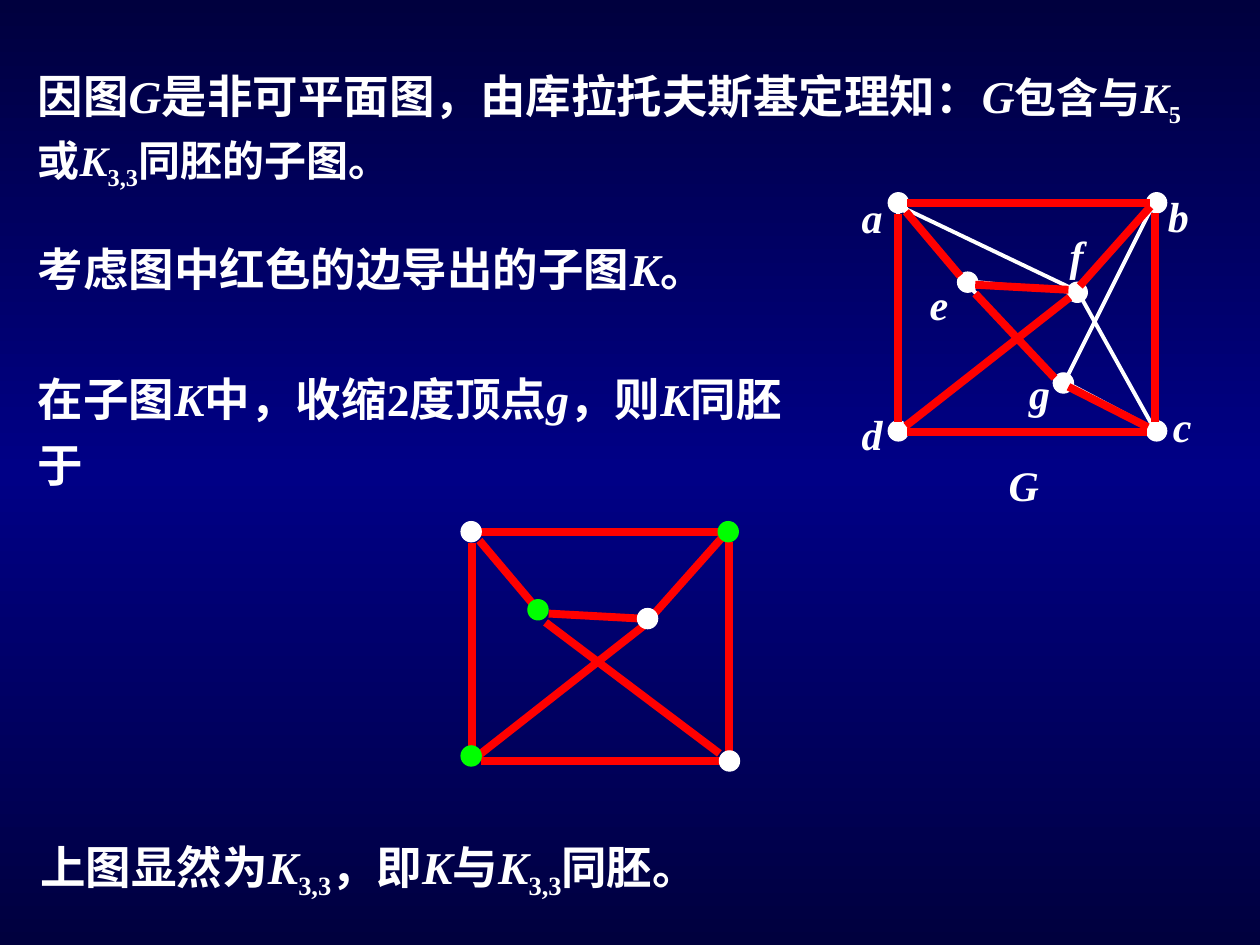
import copy
import pptx
import pptx.util
import pptx.oxml
import pptx.dml.color
import pptx.enum.shapes
import pptx.enum.text
from pptx.util import Inches

RGB = pptx.dml.color.RGBColor
WHITE = RGB(0xFF, 0xFF, 0xFF)
RED = RGB(0xFF, 0x00, 0x00)
GREEN = RGB(0x00, 0xFF, 0x00)
NAVY = RGB(0x00, 0x00, 0x3E)
BLUE = RGB(0x00, 0x00, 0x86)

BASE = {"name": "Times New Roman", "bold": True}
SIDE = 0.16  # vertex diameter
SHIFT = (-3.385, 2.61)  # from G to its contracted subgraph

# Vertex centres of G, and where their labels start
DOTS = {"a": (7.13, 1.61), "b": (9.18, 1.61), "c": (9.18, 3.42),
        "d": (7.13, 3.42), "e": (7.68, 2.24), "f": (8.55, 2.32),
        "g": (8.44, 3.04)}
TAGS = {"a": (6.74, 1.39), "b": (9.17, 1.38), "c": (9.21, 3.05),
        "d": (6.74, 3.11), "e": (7.28, 2.08), "f": (8.39, 1.69),
        "g": (8.07, 2.79)}

# Edges as x1, y1, x2, y2
THIN = [(7.13, 1.61, 9.17, 1.61), (7.13, 3.42, 9.17, 3.42),
        (9.17, 1.61, 9.17, 3.42), (7.13, 1.61, 7.13, 3.42),
        (7.15, 1.64, 7.67, 2.23), (9.17, 1.61, 8.54, 2.32),
        (7.17, 1.65, 8.53, 2.3), (7.76, 2.24, 8.54, 2.32),
        (7.7, 2.28, 8.45, 3.07), (9.14, 1.65, 8.47, 2.99),
        (8.58, 2.36, 9.17, 3.42), (8.53, 2.32, 7.19, 3.39),
        (8.47, 3.04, 9.13, 3.39)]
BOTH = [(7.2, 1.61, 9.13, 1.61), (7.13, 1.7, 7.13, 3.35),
        (7.19, 1.68, 7.62, 2.19), (9.17, 1.69, 9.17, 3.35),
        (7.2, 3.43, 9.1, 3.43), (7.74, 2.26, 8.48, 2.3),
        (9.13, 1.64, 8.57, 2.27), (8.49, 2.36, 7.19, 3.38)]
VIA_G = [(8.48, 3.07, 9.11, 3.39), (7.74, 2.33, 8.37, 3)]
E_TO_C = (4.33, 4.94, 5.71, 5.98)

# Vertices of the contracted subgraph, by part
PARTS = {WHITE: [(3.74, 4.22), (5.79, 6.04), (5.14, 4.91)],
         GREEN: [(5.78, 4.22), (4.27, 4.84), (3.74, 6)]}

# Runs: text, style (i italic, s subscript), size
LINES = [
    ((0.2, 0.44, 9.28, 1.08), 1.1,
     [("因图", "", 26), ("G", "i", 26),
      ("是非可平面图，由库拉托夫斯基定理知：", "", 26), ("G", "i", 26),
      ("包含与", "", 24), ("K", "i", 24), ("5", "s", 24), ("或", "", 24),
      ("K", "i", 24), ("3,3", "s", 24), ("同胚的子图。", "", 24)]),
    ((0.2, 1.78, 5.83, 0.62), 1.2,
     [("考虑图中红色的边导出的子图", "", 26), ("K", "i", 26), ("。", "", 26)]),
    ((0.2, 2.81, 6.2, 1.14), 1.2,
     [("在子图", "", 26), ("K", "i", 26), ("中，收缩2度顶点", "", 26),
      ("g", "i", 26), ("，则", "", 26), ("K", "i", 26), ("同胚于", "", 26)]),
    ((0.22, 6.51, 9, 0.69), 1.2,
     [("上图显然为", "", 26), ("K", "i", 26), ("3,3", "s", 26),
      ("，即", "", 26), ("K", "i", 26), ("与", "", 26), ("K", "i", 26),
      ("3,3", "s", 26), ("同胚。", "", 26)]),
]


def add_text(slide, box, space, runs, align="LEFT"):
    frame = slide.shapes.add_textbox(*map(Inches, box)).text_frame
    frame.word_wrap = True
    para = frame.paragraphs[0]
    para.line_spacing = space
    para.alignment = getattr(pptx.enum.text.PP_ALIGN, align)
    for text, style, size in runs:
        run = para.add_run()
        run.text = text
        form = {**BASE, "size": pptx.util.Pt(size), "italic": style == "i"}
        for key, value in form.items():
            setattr(run.font, key, value)
        run.font.color.rgb = WHITE
        if style == "s":
            run.font._element.set("baseline", "-25000")


def add_dot(slide, mid, color):
    x, y = (Inches(v - SIDE / 2) for v in mid)
    dot = slide.shapes.add_shape(pptx.enum.shapes.MSO_SHAPE.OVAL, x, y,
                                 Inches(SIDE), Inches(SIDE))
    dot.shadow.inherit = False
    dot.fill.solid()
    dot.fill.fore_color.rgb = color
    dot.line.color.rgb = color
    dot.line.width = pptx.util.Pt(0.75)


def add_edge(slide, ends, color, width):
    edge = slide.shapes.add_connector(
        pptx.enum.shapes.MSO_CONNECTOR.STRAIGHT, *map(Inches, ends))
    edge.line.color.rgb = color
    edge.line.width = pptx.util.Pt(width)
    edge._element.spPr.append(pptx.oxml.parse_xml(
        '<a:effectLst xmlns:a='
        '"http://schemas.openxmlformats.org/drawingml/2006/main"/>'))


def paint_back(slide):
    fill = slide.background.fill
    fill.gradient()
    fill.gradient_angle = 90
    first = fill.gradient_stops[0]._gs
    first.addnext(copy.deepcopy(first))
    for stop, place, color in zip(fill.gradient_stops, (0, 0.5, 1),
                                  (NAVY, BLUE, NAVY)):
        stop.position = place
        stop.color.rgb = color


def draw_graph(slide):
    for mid in DOTS.values():
        add_dot(slide, mid, WHITE)
    for ends in THIN:
        add_edge(slide, ends, WHITE, 2.25)
    for name, (x, y) in TAGS.items():
        add_text(slide, (x, y, 0.3, 0.58), 1.2, [(name, "i", 24)])
    add_text(slide, (7.77, 3.52, 0.71, 0.58), 1.2, [("G", "i", 24)], "CENTER")
    for ends in BOTH + VIA_G:
        add_edge(slide, ends, RED, 4.5)


def draw_minor(slide):
    dx, dy = SHIFT
    moved = [(a + dx, b + dy, c + dx, d + dy) for a, b, c, d in BOTH]
    for ends in moved + [E_TO_C]:
        add_edge(slide, ends, RED, 4.5)
    for color, mids in PARTS.items():
        for mid in mids:
            add_dot(slide, mid, color)


def main():
    deck = pptx.Presentation()
    deck.slide_width, deck.slide_height = Inches(10), Inches(7.5)
    slide = deck.slides.add_slide(deck.slide_layouts[6])
    paint_back(slide)
    # Graph G, then the subgraph after contracting g
    draw_graph(slide)
    draw_minor(slide)
    # Argument
    for box, space, runs in LINES:
        add_text(slide, box, space, runs)
    deck.save("out.pptx")


if __name__ == "__main__":
    main()
